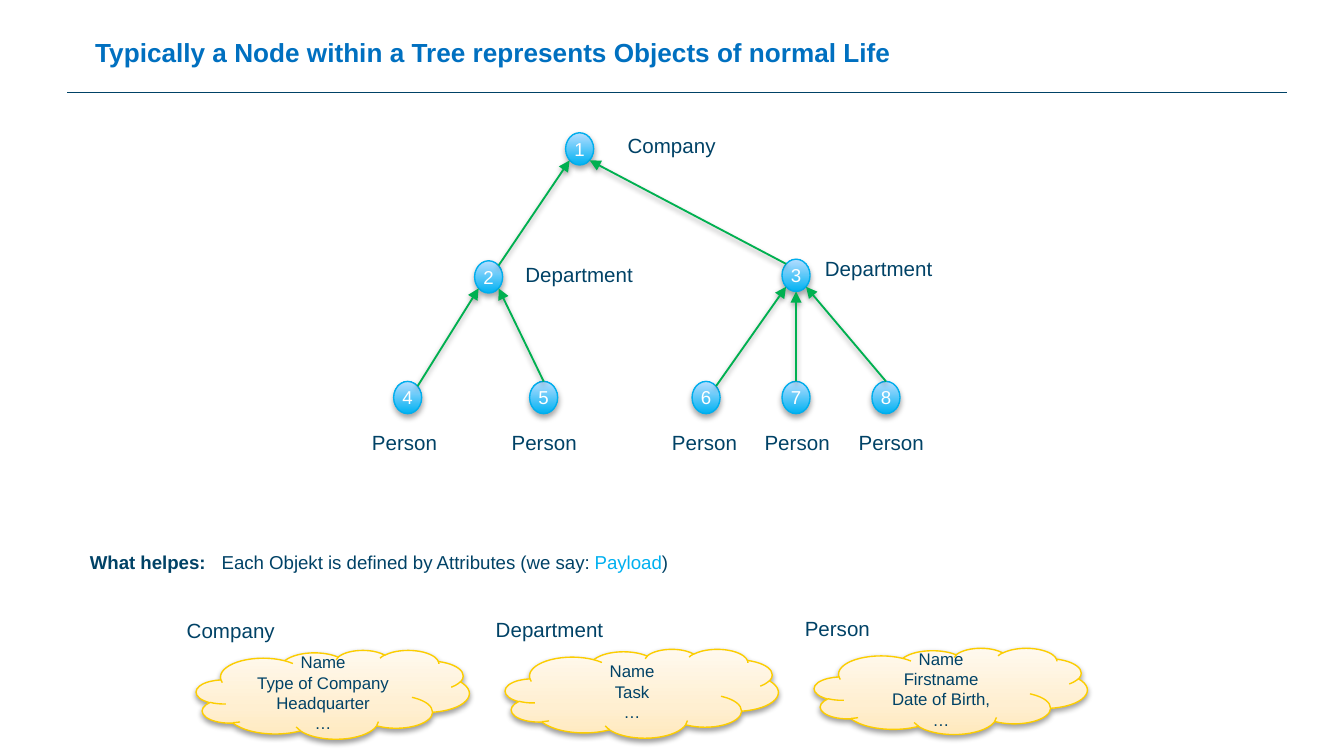
from lxml import etree
from pptx import Presentation
from pptx.dml.color import RGBColor
from pptx.enum.shapes import MSO_CONNECTOR, MSO_SHAPE
from pptx.enum.text import MSO_ANCHOR, MSO_AUTO_SIZE, PP_ALIGN
from pptx.oxml.ns import qn
from pptx.util import Cm, Pt

STRAIGHT = MSO_CONNECTOR.STRAIGHT
ELLIPSE = MSO_SHAPE.OVAL
CLOUD = MSO_SHAPE.CLOUD
MIDDLE = MSO_ANCHOR.MIDDLE
GROW = MSO_AUTO_SIZE.SHAPE_TO_FIT_TEXT
CENTER = PP_ALIGN.CENTER

COLORS = {
    "text": "004266",
    "title": "0070C0",
    "payload": "00B0F0",
    "white": "FFFFFF",
    "node_line": "00AEED",
    "arrow": "00B050",
    "cloud_line": "FCCD00",
    "shadow": "000000",
}
NODE_STOPS = [(0, "00B2F2"), (100, "B6DDFF")]
CLOUD_STOPS = [(0, "FFE9BD"), (35, "FFEFD1"), (100, "FFF9EE")]

NODE_WIDTH, NODE_HEIGHT = 0.53, 0.61
LEAF_TOP = 7.21
NODES = {
    1: (10.69, 2.51),
    2: (8.97, 4.93),
    3: (14.78, 4.9),
    4: (7.44, LEAF_TOP),
    5: (10.01, LEAF_TOP),
    6: (13.08, LEAF_TOP),
    7: (14.78, LEAF_TOP),
    8: (16.48, LEAF_TOP),
}
BOTTOM_LEFT, BOTTOM, BOTTOM_RIGHT = (-1, 1), (0, 1), (1, 1)
TOP_LEFT, TOP, TOP_RIGHT = (-1, -1), (0, -1), (1, -1)
EDGES = [
    (1, BOTTOM_LEFT, 2, TOP_RIGHT),
    (2, BOTTOM_LEFT, 4, TOP_RIGHT),
    (2, BOTTOM_RIGHT, 5, TOP),
    (1, BOTTOM_RIGHT, 3, TOP_LEFT),
    (3, BOTTOM_LEFT, 6, TOP_RIGHT),
    (3, BOTTOM, 7, TOP),
    (3, BOTTOM_RIGHT, 8, TOP),
]
LABEL_WIDTHS = {"Company": 2.18, "Department": 2.57, "Person": 1.75}
TREE_LABELS = [("Company", 11.61, 2.39), ("Department", 15.34, 4.72), ("Department", 9.68, 4.83)]
TREE_LABELS += [("Person", left, 8) for left in (6.78, 9.42, 12.45, 14.2, 15.98)]
PAYLOADS = [
    ("Company", ["Name", "Type of Company", "Headquarter", "…"], 1.68),
    ("Department", ["Name", "Task", "…"], 1.68),
    ("Person", ["Name", "Firstname", "Date of Birth,", "…"], 1.63),
]


def add_run(paragraph, text, *, size=11, color="text", bold=False, font="Arial"):
    run = paragraph.add_run()
    run.text = text
    run.font.name = font
    run.font.size = Pt(size)
    run.font.bold = bold
    run.font.color.rgb = RGBColor.from_string(COLORS[color])


def add_color(parent, color):
    return etree.SubElement(parent, qn("a:srgbClr"), val=color)


def node_site(number, direction):
    horizontal, vertical = direction
    reach = 0.71 if horizontal and vertical else 1
    left, top = NODES[number]
    return (
        left + NODE_WIDTH / 2 * (1 + reach * horizontal),
        top + NODE_HEIGHT / 2 * (1 + reach * vertical),
    )


class TreeSlide:
    def __init__(self, presentation):
        self.slide = presentation.slides.add_slide(presentation.slide_layouts[6])
        self.line_width = Pt(0.75)
        self.arrow_width = Pt(1)

    def add_shadow(self, effects, opacity, distance):
        shadow = etree.SubElement(
            effects, qn("a:outerShdw"), blurRad=str(Pt(3.1)), dist=str(Pt(distance)),
            dir="5400000", rotWithShape="0",
        )
        color = add_color(shadow, COLORS["shadow"])
        etree.SubElement(color, qn("a:alpha"), val=str(opacity * 1000))

    def line(self, start, end, color, width):
        connector = self.slide.shapes.add_connector(
            STRAIGHT, *(Cm(value) for value in (*start, *end))
        )
        connector.line.color.rgb = RGBColor.from_string(COLORS[color])
        connector.line.width = width
        effects = etree.SubElement(connector._element.spPr, qn("a:effectLst"))
        return connector, effects

    def rule(self, start, end):
        self.line(start, end, "text", self.line_width)

    def arrow(self, parent_site, child_site):
        connector, effects = self.line(parent_site, child_site, "arrow", self.arrow_width)
        etree.SubElement(connector.line._get_or_add_ln(), qn("a:headEnd"), type="triangle")
        self.add_shadow(effects, 38, 1.6)

    def shape(self, kind, box, lines, stops, line_color, opacity, distance, **text_format):
        shape = self.slide.shapes.add_shape(kind, *(Cm(value) for value in box))
        shape.fill.gradient()
        shape.fill.gradient_angle = 90
        properties = shape._element.spPr
        stop_list = properties.find(qn("a:gradFill")).find(qn("a:gsLst"))
        stop_list.clear()
        for position, color in stops:
            add_color(etree.SubElement(stop_list, qn("a:gs"), pos=str(position * 1000)), color)
        shape.line.color.rgb = RGBColor.from_string(COLORS[line_color])
        shape.line.width = self.line_width
        shape.shadow.inherit = False
        self.add_shadow(properties.find(qn("a:effectLst")), opacity, distance)
        frame = shape.text_frame
        frame.vertical_anchor = MIDDLE
        for index, text in enumerate(lines):
            paragraph = frame.add_paragraph() if index else frame.paragraphs[0]
            paragraph.alignment = CENTER
            add_run(paragraph, text, **text_format)
        return shape

    def node(self, number, left, top):
        shape = self.shape(
            ELLIPSE, (left, top, NODE_WIDTH, NODE_HEIGHT), [str(number)], NODE_STOPS,
            "node_line", 35, 1.8, size=10, color="white",
        )
        frame = shape.text_frame
        frame.word_wrap = False
        frame.margin_left = frame.margin_right = 0

    def cloud(self, box, lines):
        shape = self.shape(CLOUD, box, lines, CLOUD_STOPS, "cloud_line", 38, 1.6, size=9)
        shape.text_frame.word_wrap = True

    def text(self, box, runs, tab=None):
        shape = self.slide.shapes.add_textbox(*(Cm(value) for value in box))
        frame = shape.text_frame
        frame.word_wrap = False
        frame.auto_size = GROW
        paragraph = frame.paragraphs[0]
        if tab:
            tabs = etree.SubElement(paragraph._p.get_or_add_pPr(), qn("a:tabLst"))
            etree.SubElement(tabs, qn("a:tab"), pos=str(Cm(tab)), algn="l")
        for text, text_format in runs:
            add_run(paragraph, text, **text_format)

    def label(self, text, left, top):
        self.text((left, top, LABEL_WIDTHS[text], 0.74), [(text, {})])


def main():
    presentation = Presentation()
    presentation.slide_width = Cm(25.4)
    presentation.slide_height = Cm(14.29)
    slide = TreeSlide(presentation)

    slide.rule((1.27, 1.75), (24.33, 1.75))
    for number, (left, top) in NODES.items():
        slide.node(number, left, top)
    for parent, parent_side, child, child_side in EDGES:
        slide.arrow(node_site(parent, parent_side), node_site(child, child_side))
    for text, left, top in TREE_LABELS:
        slide.label(text, left, top)

    slide.text((1.45, 10.29, 11.53, 0.69), [
        ("What helpes:\t", {"size": 10, "bold": True}),
        ("Each Objekt is defined by Attributes (we say: ", {"size": 10}),
        ("Payload", {"size": 10, "color": "payload"}),
        (")", {"size": 10}),
    ], tab=2.49)

    for index, (name, attributes, height) in enumerate(PAYLOADS):
        left = 3.28 + 5.84 * index
        top = 11.56 - 0.02 * index
        slide.label(name, left, top)
        slide.cloud((left + 0.43, top + 0.73, 5.16, height), attributes)

    slide.text((1.55, 0.56, 15.6, 0.86), [
        ("Typically a Node within a Tree represents Objects of normal Life",
         {"size": 14, "color": "title", "bold": True}),
    ])
    presentation.save("out.pptx")


if __name__ == "__main__":
    main()
